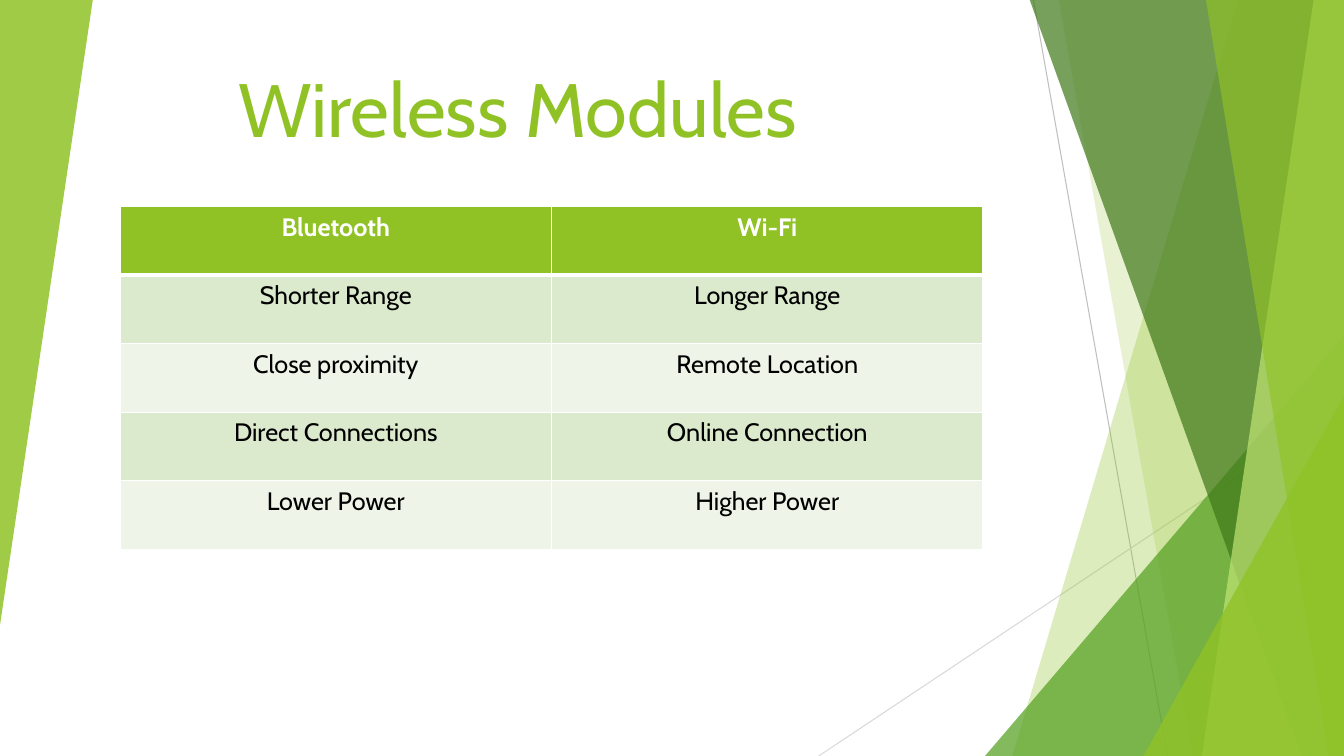
from dataclasses import dataclass

from lxml import etree
from pptx import Presentation
from pptx.dml.color import RGBColor
from pptx.enum.shapes import MSO_CONNECTOR, MSO_SHAPE
from pptx.enum.text import MSO_ANCHOR, MSO_AUTO_SIZE, PP_ALIGN
from pptx.oxml.ns import qn
from pptx.util import Inches, Pt

STRAIGHT = MSO_CONNECTOR.STRAIGHT
TRIANGLE = MSO_SHAPE.ISOSCELES_TRIANGLE
BOTTOM, TOP = MSO_ANCHOR.BOTTOM, MSO_ANCHOR.TOP
CENTER, RIGHT = PP_ALIGN.CENTER, PP_ALIGN.RIGHT
NO_AUTOFIT = MSO_AUTO_SIZE.NONE


@dataclass(frozen=True)
class Theme:
    """Colours, font and sizes of the slide."""

    font: str = "Cabin"
    title_size: float = 54
    table_size: float = 18
    lime: str = "90C226"
    leaf: str = "54A021"
    forest: str = "3F7819"
    pale: str = "C0E474"
    white: str = "FFFFFF"
    black: str = "000000"
    bands: tuple = ("DBE9CD", "EEF4E8")


@dataclass(frozen=True)
class Ray:
    """A thin decorative line."""

    start: tuple
    end: tuple
    color: str


@dataclass(frozen=True)
class Panel:
    """A translucent band reaching the right edge of the slide."""

    top_left: float
    bottom_left: float
    color: str
    opacity: int


@dataclass(frozen=True)
class Wedge:
    """A translucent right-angled triangle."""

    left: float
    top: float
    width: float
    height: float
    color: str
    opacity: int
    rotation: int = 0


THEME = Theme()
WIDTH, HEIGHT = 13.33, 7.5
PANEL_TOP = -0.01
DECORATIONS = (
    Ray((10.25, 0), (11.58, HEIGHT), "BFBFBF"),
    Ray((WIDTH, 4.03), (8.12, HEIGHT), "D9D9D9"),
    Panel(12.28, 10.04, THEME.lime, 30),
    Panel(10.5, 11.83, THEME.lime, 20),
    Wedge(9.77, 3.33, 3.56, 4.17, THEME.leaf, 72),
    Panel(10.21, 12.91, THEME.forest, 70),
    Panel(13.03, 11.92, THEME.pale, 70),
    Panel(11.96, 13.18, THEME.lime, 65),
    Wedge(11.34, 3.93, 1.99, 3.57, THEME.lime, 80),
    Wedge(0, 0, 0.92, 6.2, THEME.lime, 85, 180),
)
ROWS = (
    ("Bluetooth", "Wi-Fi"),
    ("Shorter Range", "Longer Range"),
    ("Close proximity", "Remote Location"),
    ("Direct Connections", "Online Connection"),
    ("Lower Power", "Higher Power"),
)


def apply_format(target, values: dict) -> None:
    """Set every named attribute on the target."""
    for name, value in values.items():
        setattr(target, name, value)


def write_text(frame, text: str, align, size: float, color: str, bold: bool) -> None:
    """Fill a text frame with one formatted span."""
    para = frame.paragraphs[0]
    para.alignment = align
    span = para.add_run()
    span.text = text
    apply_format(span.font, {"name": THEME.font, "size": Pt(size), "bold": bold})
    span.font.color.rgb = RGBColor.from_string(color)


def paint(shape, color: str, opacity: int) -> None:
    """Give a shape a translucent fill without outline or shadow."""
    shape.shadow.inherit = False
    shape.line.fill.background()
    shape.fill.solid()
    shape.fill.fore_color.rgb = RGBColor.from_string(color)
    tint = shape.element.spPr.find(qn("a:solidFill"))[0]
    etree.SubElement(tint, qn("a:alpha"), val=str(opacity * 1000))


def draw_ray(page, ray: Ray) -> None:
    """Draw a thin line."""
    ends = [Inches(value) for value in (*ray.start, *ray.end)]
    line = page.shapes.add_connector(STRAIGHT, *ends)
    line.line.width = Pt(0.75)
    line.line.color.rgb = RGBColor.from_string(ray.color)
    etree.SubElement(line.element.spPr, qn("a:effectLst"))


def draw_panel(page, panel: Panel) -> None:
    """Draw a four-sided band."""
    corners = [
        (Inches(x), Inches(y))
        for x, y in (
            (panel.top_left, PANEL_TOP),
            (WIDTH, PANEL_TOP),
            (WIDTH, HEIGHT),
            (panel.bottom_left, HEIGHT),
        )
    ]
    outline = page.shapes.build_freeform(*corners[0])
    outline.add_line_segments(corners[1:], close=True)
    paint(outline.convert_to_shape(), panel.color, panel.opacity)


def draw_wedge(page, wedge: Wedge) -> None:
    """Draw a right-angled triangle."""
    box = [Inches(v) for v in (wedge.left, wedge.top, wedge.width, wedge.height)]
    shape = page.shapes.add_shape(TRIANGLE, *box)
    shape.adjustments[0] = 1
    shape.rotation = wedge.rotation
    paint(shape, wedge.color, wedge.opacity)


def add_borders(cell, top: float, bottom: float) -> None:
    """Add white borders to a cell, one point wide at the sides."""
    properties = cell._tc.get_or_add_tcPr()
    for side, width in (("L", 1), ("R", 1), ("T", top), ("B", bottom)):
        border = etree.SubElement(properties, qn(f"a:ln{side}"), w=str(Pt(width)))
        fill = etree.SubElement(border, qn("a:solidFill"))
        etree.SubElement(fill, qn("a:srgbClr"), val=THEME.white)


def draw_table(page) -> None:
    """Draw the comparison table."""
    box = [Inches(v) for v in (1.19, 2.05, 8.56, 3.4)]
    table = page.shapes.add_table(len(ROWS), len(ROWS[0]), *box).table
    for index, texts in enumerate(ROWS):
        header = index == 0
        fill = THEME.lime if header else THEME.bands[(index - 1) % 2]
        color = THEME.white if header else THEME.black
        for column, text in enumerate(texts):
            cell = table.cell(index, column)
            cell.vertical_anchor = TOP
            add_borders(cell, 3 if index == 1 else 1, 3 if header else 1)
            cell.fill.solid()
            cell.fill.fore_color.rgb = RGBColor.from_string(fill)
            write_text(cell.text_frame, text, CENTER, THEME.table_size, color, header)


def place_title(page) -> None:
    """Move and format the title placeholder."""
    title = page.shapes.title
    box = {"left": 2.02, "top": 0.21, "width": 5.98, "height": 1.35}
    apply_format(title, {name: Inches(value) for name, value in box.items()})
    frame = title.text_frame
    apply_format(frame, {"vertical_anchor": BOTTOM, "word_wrap": True, "auto_size": NO_AUTOFIT})
    write_text(frame, "Wireless Modules", RIGHT, THEME.title_size, THEME.lime, False)


def main() -> None:
    """Build and save the slide."""
    deck = Presentation()
    apply_format(deck, {"slide_width": Inches(WIDTH), "slide_height": Inches(HEIGHT)})
    page = deck.slides.add_slide(deck.slide_layouts[5])
    painters = {Ray: draw_ray, Panel: draw_panel, Wedge: draw_wedge}
    for item in DECORATIONS:
        painters[type(item)](page, item)
    place_title(page)
    draw_table(page)
    deck.save("out.pptx")


if __name__ == "__main__":
    main()
